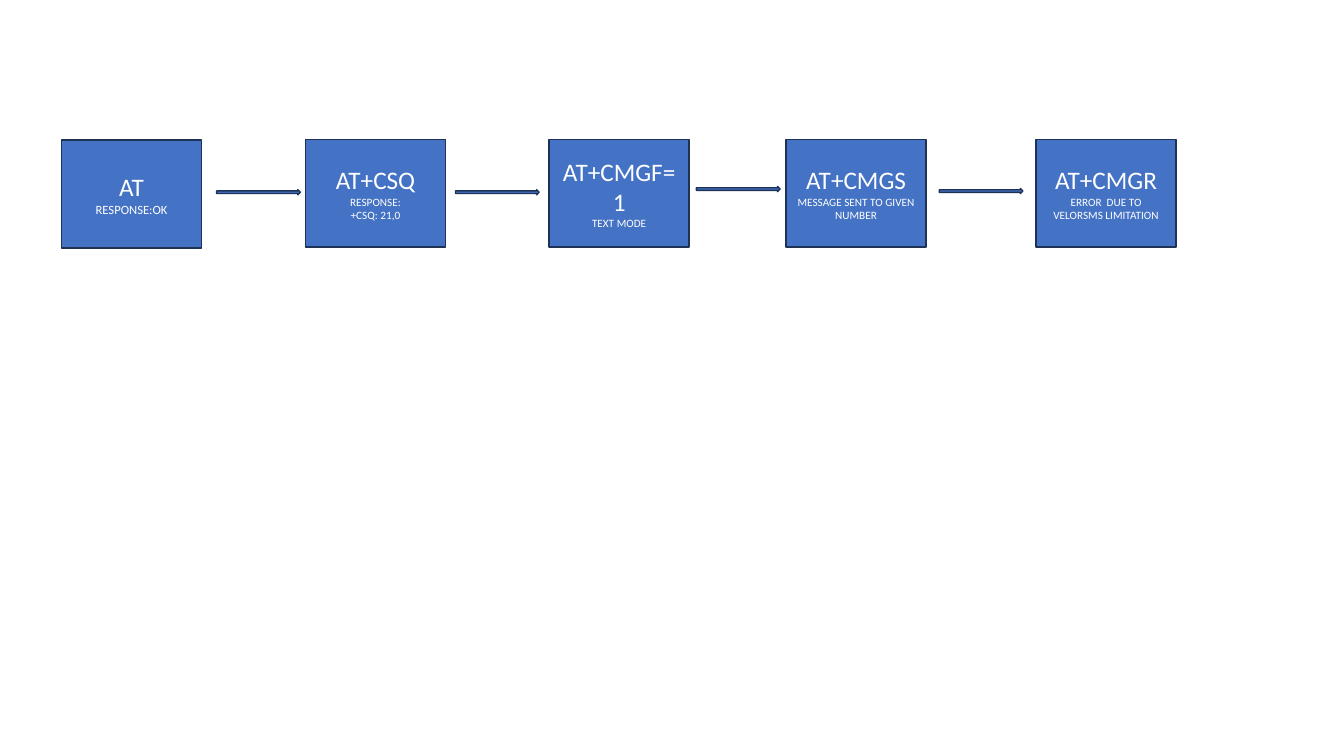
from pptx import Presentation
from pptx.dml.color import RGBColor
from pptx.enum.shapes import MSO_SHAPE
from pptx.enum.text import MSO_ANCHOR, PP_ALIGN
from pptx.util import Cm, Pt

RECTANGLE = MSO_SHAPE.RECTANGLE
RIGHT_ARROW = MSO_SHAPE.RIGHT_ARROW
MIDDLE = MSO_ANCHOR.MIDDLE
CENTER = PP_ALIGN.CENTER

BLUE, NAVY, WHITE = "4472C4", "1E3256", "FFFFFF"
COMMAND_FORMAT = {"name": "Calibri", "size": Pt(18)}
BOX_WIDTH, BOX_HEIGHT = 3.53, 2.72
ARROW_WIDTH, ARROW_HEIGHT = 2.11, 0.13

STEPS = [
    (0, 0.02, 9, ["AT", "RESPONSE:OK"]),
    (6.15, 0, 8, ["AT+CSQ", "RESPONSE:", "+CSQ: 21,0"]),
    (12.29, 0, 8, ["AT+CMGF=1", "TEXT MODE"]),
    (18.26, 0, 8, ["AT+CMGS", "MESSAGE SENT TO GIVEN NUMBER"]),
    (24.56, 0, 8, ["AT+CMGR", "ERROR  DUE TO VELORSMS LIMITATION"]),
]
ARROWS = [(3.91, 1.27), (9.93, 1.27), (16, 1.19), (22.12, 1.24)]


def color(value):
    return RGBColor.from_string(value)


def add_block(slide, kind, left, top, width, height):
    shape = slide.shapes.add_shape(kind, Cm(left), Cm(top), Cm(width), Cm(height))
    shape.shadow.inherit = False
    shape.fill.solid()
    shape.fill.fore_color.rgb = color(BLUE)
    shape.line.color.rgb = color(NAVY)
    shape.line.width = Pt(1)
    return shape


def write_lines(shape, lines, detail_size):
    frame = shape.text_frame
    frame.word_wrap = True
    frame.vertical_anchor = MIDDLE
    frame.text = "\n".join(lines)
    for index, paragraph in enumerate(frame.paragraphs):
        paragraph.alignment = CENTER
        font = paragraph.runs[0].font
        font.color.rgb = color(WHITE)
        values = COMMAND_FORMAT if index == 0 else {**COMMAND_FORMAT, "size": Pt(detail_size)}
        for name, value in values.items():
            setattr(font, name, value)


def add_command_flow(slide, left, top):
    for x, y, detail_size, lines in STEPS:
        box = add_block(slide, RECTANGLE, left + x, top + y, BOX_WIDTH, BOX_HEIGHT)
        write_lines(box, lines, detail_size)
    for x, y in ARROWS:
        add_block(slide, RIGHT_ARROW, left + x, top + y, ARROW_WIDTH, ARROW_HEIGHT)


def main():
    presentation = Presentation()
    presentation.slide_width = Cm(33.87)
    presentation.slide_height = Cm(19.05)
    slide = presentation.slides.add_slide(presentation.slide_layouts[6])
    add_command_flow(slide, 1.55, 3.51)
    presentation.save("out.pptx")


if __name__ == "__main__":
    main()
